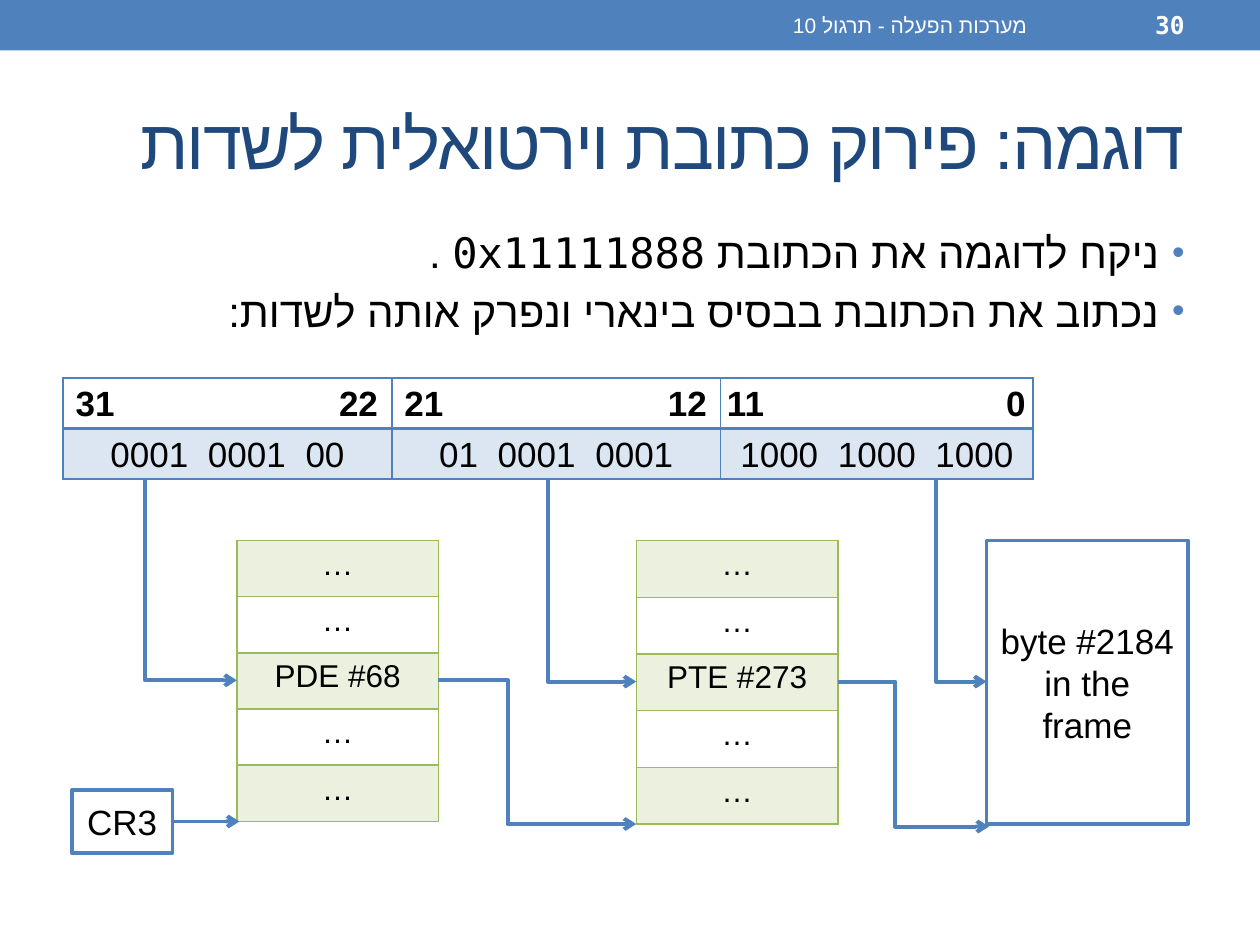
from pptx import Presentation
from pptx.dml.color import RGBColor
from pptx.enum.shapes import MSO_CONNECTOR, MSO_SHAPE
from pptx.enum.text import MSO_ANCHOR, PP_ALIGN
from pptx.oxml.ns import qn
from pptx.util import Inches, Pt
from lxml.etree import SubElement

BLUE = RGBColor(0x4F, 0x81, 0xBD)
PALE = RGBColor(0xDC, 0xE6, 0xF2)
GREEN = RGBColor(0x9B, 0xBB, 0x59)
MINT = RGBColor(0xEB, 0xF1, 0xDE)
NAVY = RGBColor(0x1F, 0x49, 0x7D)
BLACK = RGBColor(0, 0, 0)
WHITE = RGBColor(255, 255, 255)
MONO = "DejaVu Sans Mono"

deck = Presentation()
deck.slide_width, deck.slide_height = Inches(10), Inches(7.5)
slide = deck.slides.add_slide(deck.slide_layouts[6])
shapes = slide.shapes


def put(para, text, size, color=BLACK, face="Arial", bold=False):
    run = para.add_run()
    run.text = text
    font = run.font
    font.size, font.name, font.bold = Pt(size), face, bold
    font.color.rgb = color
    props = run._r.get_or_add_rPr()
    SubElement(props, qn("a:cs"), typeface=face)
    return props


def wire(kind, x1, y1, x2, y2):
    line = shapes.add_connector(kind, Inches(x1), Inches(y1), Inches(x2), Inches(y2))
    line.line.color.rgb = BLUE
    line.line.width = Pt(2.25)
    SubElement(line.line._get_or_add_ln(), qn("a:tailEnd"), type="arrow")
    props = line._element.spPr
    SubElement(props, qn("a:effectLst"))
    return props


bar = shapes.add_shape(MSO_SHAPE.RECTANGLE, 0, 0, Inches(10), Inches(0.4))
bar.shadow.inherit = False
bar.fill.solid()
bar.fill.fore_color.rgb = BLUE
bar.line.fill.background()

title = "דוגמה: פירוק כתובת וירטואלית לשדות"
points = [["ניקח לדוגמה את הכתובת ", "0x11111888", " ."],
          ["נכתוב את הכתובת בבסיס בינארי ונפרק אותה לשדות:"]]
texts = [
    (0.5, 0.58, 9, 1.08, [[title]], 40, NAVY, False),
    (0.5, 1.75, 9, 5.33, points, 24, BLACK, False),
    (3.75, 0.02, 4.5, 0.36, [["מערכות הפעלה - תרגול 10"]], 12, WHITE, False),
    (8.33, 0.02, 1.17, 0.36, [["30"]], 14, WHITE, True),
]
for x, y, w, h, lines, size, color, bold in texts:
    box = shapes.add_textbox(Inches(x), Inches(y), Inches(w), Inches(h))
    frame = box.text_frame
    frame.word_wrap = True
    frame.vertical_anchor = MSO_ANCHOR.TOP if lines is points else MSO_ANCHOR.MIDDLE
    for i, parts in enumerate(lines):
        para = frame.add_paragraph() if i else frame.paragraphs[0]
        para.alignment = PP_ALIGN.RIGHT
        form = para._p.get_or_add_pPr()
        form.set("rtl", "1")
        if lines is points:
            para.space_before = Pt(4.8)
            form.set("marL", str(Inches(0.2)))
            form.set("indent", str(-Inches(0.2)))
            SubElement(SubElement(form, qn("a:buClr")), qn("a:srgbClr"), val=str(BLUE))
            SubElement(form, qn("a:buSzPct"), val="85000")
            SubElement(form, qn("a:buFont"), typeface="Arial")
            SubElement(form, qn("a:buChar"), char="•")
        for text in parts:
            face = MONO if text[0].isdigit() else "Arial"
            props = put(para, text, size, color, face, bold)
            if text == title:
                props.set("spc", "-100")

for x, y, w, h, text in [(7.83, 4.29, 1.6, 2.25, "byte #2184 in the frame"),
                         (0.57, 6.27, 0.8, 0.5, "CR3")]:
    box = shapes.add_shape(MSO_SHAPE.RECTANGLE, Inches(x), Inches(y), Inches(w), Inches(h))
    box.shadow.inherit = False
    box.fill.solid()
    box.fill.fore_color.rgb = WHITE
    box.line.color.rgb = BLUE
    box.line.width = Pt(2.08)
    box.text_frame.word_wrap = True
    box.text_frame.vertical_anchor = MSO_ANCHOR.MIDDLE
    para = box.text_frame.paragraphs[0]
    para.alignment = PP_ALIGN.CENTER
    put(para, text, 20)

bits = [["31\t22", "21\t12", "11\t0"],
        ["0001 0001 00", "01 0001 0001", "1000 1000 1000"]]
grids = [(0.5, 3, [2.61, 2.61, 2.48], 0.8, bits, BLUE, PALE)]
for x, h, name in [(1.88, 2.23, "PDE #68"), (5.05, 2.25, "PTE #273")]:
    rows = [["…"], ["…"], [name], ["…"], ["…"]]
    grids.append((x, 4.29, [1.6], h, rows, GREEN, MINT))

for x, y, cols, h, rows, edge, tint in grids:
    table = shapes.add_table(len(rows), len(cols), Inches(x), Inches(y),
                             Inches(sum(cols)), Inches(h)).table
    table.first_row = table.horz_banding = False
    for c, w in enumerate(cols):
        table.columns[c].width = Inches(w)
    for r, row in enumerate(rows):
        table.rows[r].height = Inches(h / len(rows))
        for c, text in enumerate(row):
            cell = table.cell(r, c)
            para = cell.text_frame.paragraphs[0]
            para.alignment = PP_ALIGN.CENTER
            head = rows is bits and r == 0
            if rows is bits:
                cell.margin_left = cell.margin_right = Inches(0.05)
                cell.margin_top, cell.margin_bottom = Inches(0.01), 0
                para.line_spacing = 1.15
            if head:
                para.alignment = PP_ALIGN.LEFT
                cell.margin_left = Inches(0.05 if c == 2 else 0.1)
                stops = SubElement(para._p.get_or_add_pPr(), qn("a:tabLst"))
                stop = Inches(2.37 if c == 2 else 2.4)
                SubElement(stops, qn("a:tab"), pos=str(stop), algn="r")
                put(para, text, 20, bold=True)
            elif rows is bits:
                for i, word in enumerate(text.split()):
                    if i:
                        put(para, " ", 20).set("spc", "560")
                    put(para, word, 20)
            else:
                put(para, text, 18)
            props = cell._tc.get_or_add_tcPr()
            for side in ("L", "R", "T", "B"):
                thick = head and side == "B"
                line = SubElement(props, qn("a:ln" + side), w=str(Pt(2 if thick else 1)))
                fill = SubElement(line, qn("a:solidFill"))
                SubElement(fill, qn("a:srgbClr"), val=str(edge))
            cell.fill.solid()
            shade = r % 2 == (1 if rows is bits else 0)
            cell.fill.fore_color.rgb = tint if shade else WHITE

wire(MSO_CONNECTOR.STRAIGHT, 1.37, 6.52, 1.9, 6.52)

for x1, y1, x2, y2 in [(1.15, 3.8, 1.88, 5.4), (4.35, 3.8, 5.05, 5.41),
                       (7.43, 3.81, 7.83, 5.41)]:
    midx, midy = (x1 + x2) / 2, (y1 + y2) / 2
    w, h = y2 - y1, x2 - x1
    props = wire(MSO_CONNECTOR.ELBOW, midx - w / 2, midy - h / 2, midx + w / 2, midy + h / 2)
    props.find(qn("a:prstGeom")).set("prst", "bentConnector2")
    turn = props.find(qn("a:xfrm"))
    turn.set("rot", "16200000")
    turn.set("flipH", "1")

for x1, y1, x2, y2, bend in [(3.48, 5.4, 5.05, 6.54, 0.35), (6.65, 5.41, 7.85, 6.56, 0.38)]:
    props = wire(MSO_CONNECTOR.ELBOW, x1, y1, x2, y2)
    guides = props.find(qn("a:prstGeom")).find(qn("a:avLst"))
    SubElement(guides, qn("a:gd"), name="adj1", fmla=f"val {round(bend * 100000)}")

deck.save("out.pptx")
